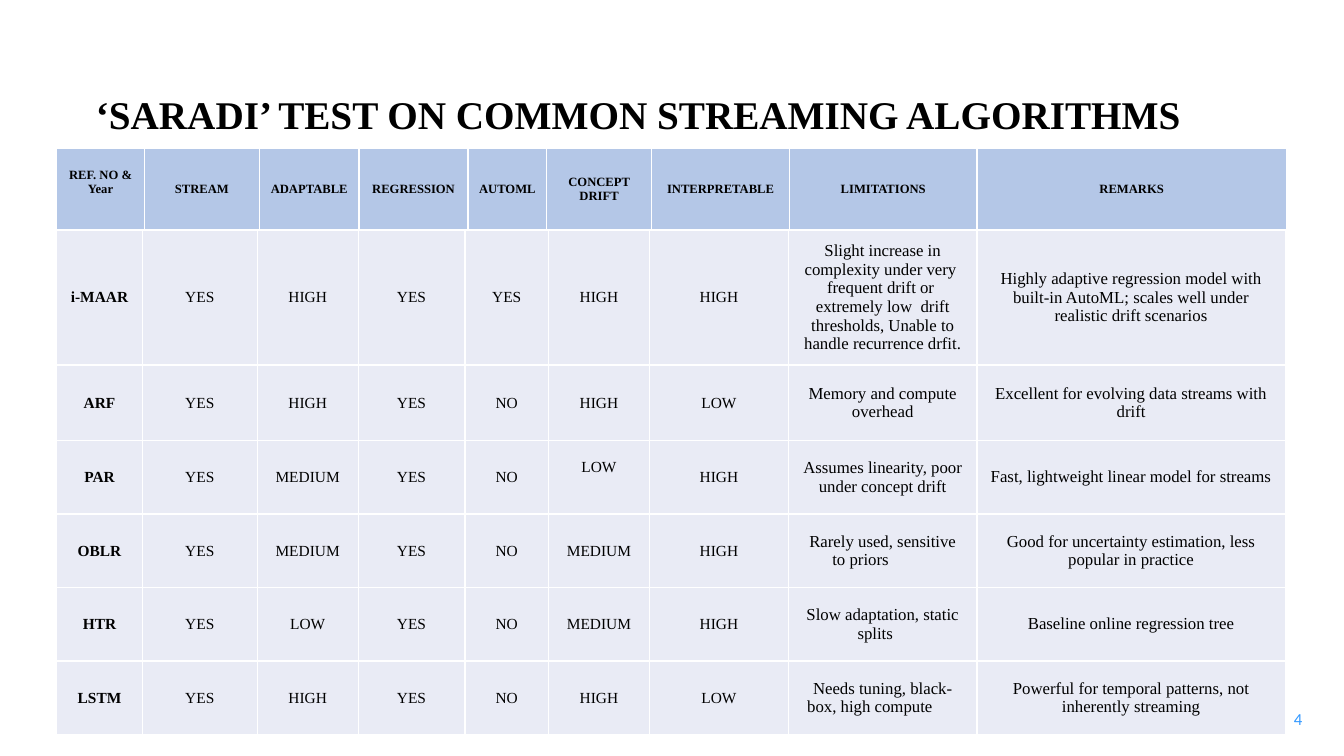
from lxml import etree
from pptx import Presentation
from pptx.dml.color import RGBColor
from pptx.enum.text import MSO_ANCHOR as ANCHOR, PP_ALIGN as ALIGN
from pptx.oxml.ns import qn
from pptx.util import Pt

BLACK = RGBColor(0x00, 0x00, 0x00)
WHITE = RGBColor(0xFF, 0xFF, 0xFF)
HEADER_BLUE = RGBColor(0xB4, 0xC7, 0xE7)
ROW_GREY = RGBColor(0xE9, 0xEB, 0xF5)
NUMBER_BLUE = RGBColor(0x33, 0x99, 0xFF)
SERIF = "Times New Roman"

HEADER_WIDTHS = [62.6, 82.1, 71.3, 77.8, 56.2, 74.9, 98.6, 133.9, 221]
BODY_WIDTHS = [61.2, 82.1, 72, 76.3, 59.8, 72, 99.4, 134.6, 220.3]
BODY_HEIGHTS = [89.3, 54] + [52.5] * 4
LIMITATIONS, REMARKS = 7, 8

HEADINGS = ["REF. NO & Year", "STREAM", "ADAPTABLE", "REGRESSION", "AUTOML",
            "CONCEPT DRIFT", "INTERPRETABLE", "LIMITATIONS", "REMARKS"]
ALGORITHMS = [
    ["i-MAAR", "YES", "HIGH", "YES", "YES", "HIGH", "HIGH",
     "Slight increase in complexity under very  frequent drift or  extremely low  drift "
     "thresholds, Unable to handle recurrence drfit.",
     "Highly adaptive regression model with built-in AutoML; scales well under "
     "realistic drift scenarios"],
    ["ARF", "YES", "HIGH", "YES", "NO", "HIGH", "LOW",
     "Memory and compute overhead",
     "Excellent for evolving data streams with drift"],
    ["PAR", "YES", "MEDIUM", "YES", "NO", "LOW", "HIGH",
     "Assumes linearity, poor under concept drift",
     "Fast, lightweight linear model for streams"],
    ["OBLR", "YES", "MEDIUM", "YES", "NO", "MEDIUM", "HIGH",
     "Rarely used, sensitive to priors\t",
     "Good for uncertainty estimation, less popular in practice"],
    ["HTR", "YES", "LOW", "YES", "NO", "MEDIUM", "HIGH",
     "Slow adaptation, static splits\t",
     "Baseline online regression tree"],
    ["LSTM", "YES", "HIGH", "YES", "NO", "HIGH", "LOW",
     "Needs tuning, black-box, high compute\t",
     "Powerful for temporal patterns, not inherently streaming"],
]


def add_run(p, text, size, color=BLACK, font=SERIF, bold=False):
    r = p.add_run()
    r.text = text
    r.font.name, r.font.size, r.font.bold = font, Pt(size), bold
    r.font.color.rgb = color


def add_text(s, box, text, size, align, anchor, inset, **style):
    tf = s.shapes.add_textbox(*map(Pt, box)).text_frame
    tf.word_wrap = True
    tf.vertical_anchor = anchor
    tf.margin_left = tf.margin_right = tf.margin_top = tf.margin_bottom = Pt(inset)
    p = tf.paragraphs[0]
    p.alignment = align
    add_run(p, text, size, **style)
    return p


def add_grid(s, left, top, widths, heights):
    """Add a table with plain styling and the given column and row sizes."""
    table = s.shapes.add_table(len(heights), len(widths), Pt(left), Pt(top),
                               Pt(sum(widths)), Pt(sum(heights))).table
    table.first_row = table.horz_banding = False
    for column, width in zip(table.columns, widths):
        column.width = Pt(width)
    for row, height in zip(table.rows, heights):
        row.height = Pt(height)
    return table


def fill_cell(cell, text, size, bold, fill, inset_x, inset_y):
    tc_pr = cell._tc.get_or_add_tcPr()
    for side in ("lnL", "lnR", "lnT", "lnB"):
        ln = etree.SubElement(tc_pr, qn("a:" + side), w=str(Pt(1)))
        solid = etree.SubElement(ln, qn("a:solidFill"))
        etree.SubElement(solid, qn("a:srgbClr"), val=str(WHITE))
    cell.fill.solid()
    cell.fill.fore_color.rgb = fill
    cell.vertical_anchor = ANCHOR.MIDDLE
    cell.margin_left = cell.margin_right = Pt(inset_x)
    cell.margin_top = cell.margin_bottom = Pt(inset_y)
    p = cell.text_frame.paragraphs[0]
    p.alignment = ALIGN.CENTER
    add_run(p, text, size, bold=bold)


def add_header_table(s, left, top, height):
    table = add_grid(s, left, top, HEADER_WIDTHS, [height])
    for c, heading in enumerate(HEADINGS):
        fill_cell(table.cell(0, c), heading, 9, True, HEADER_BLUE, 7.2, 7.2)
    table.cell(0, 0).margin_bottom = Pt(17)


def add_algorithm_table(s, left, top):
    table = add_grid(s, left, top, BODY_WIDTHS, BODY_HEIGHTS)
    for i, row in enumerate(ALGORITHMS):
        for c, text in enumerate(row):
            size = 12 if c >= LIMITATIONS else 11
            inset_x, inset_y = (7.2, 3.6) if c == REMARKS else (9.4, 5)
            fill_cell(table.cell(i, c), text, size, c == 0, ROW_GREY, inset_x, inset_y)
    table.cell(2, 5).margin_bottom = Pt(19)


def main():
    prs = Presentation()
    prs.slide_width, prs.slide_height = Pt(960), Pt(540)
    s = prs.slides.add_slide(prs.slide_layouts[6])
    add_text(s, (847.4, 499, 92.2, 41), "4", 12, ALIGN.RIGHT, ANCHOR.TOP, 9.4,
             color=NUMBER_BLUE, font="Calibri")
    add_header_table(s, 40.5, 106, 58.3)
    add_algorithm_table(s, 40.5, 164.3)
    title = add_text(s, (33.8, 32.4, 843.8, 73.4),
                     "‘SARADI’ TEST ON COMMON STREAMING ALGORITHMS", 28,
                     ALIGN.CENTER, ANCHOR.BOTTOM, 7.2, bold=True)
    title.line_spacing = 0.9
    prs.save("out.pptx")


if __name__ == "__main__":
    main()
